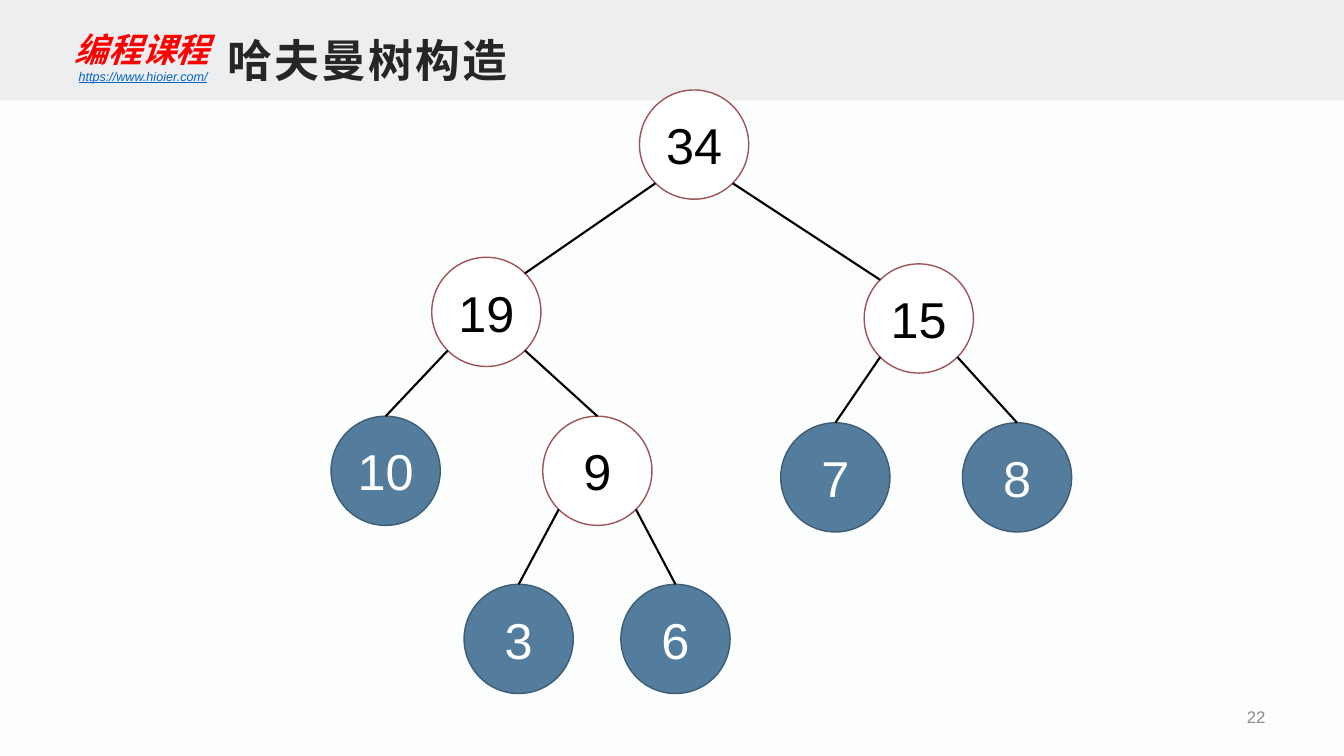
import math
import pptx
import pptx.dml.color
import pptx.enum.shapes
import pptx.enum.text
import pptx.oxml.ns
import pptx.util
from lxml import etree

Pt = pptx.util.Pt
ANCHOR = pptx.enum.text.MSO_ANCHOR
ALIGN = pptx.enum.text.PP_ALIGN
SHAPE = pptx.enum.shapes.MSO_SHAPE

COLORS = {
    "page": "FCFDFD", "band": "ECEEEF", "brand": "FF0000", "url": "0563C1",
    "title": "262626", "number": "8C8C8C", "edge": "000000",
    "leaf": "547D9D", "leaf_line": "3E5C74", "leaf_text": "FFFFFF",
    "inner": "FFFFFF", "inner_line": "9D5458", "inner_text": "000000",
}

# Header and footer: text, box, insets (x, y), anchor, alignment, font
LABELS = [
    ("编程课程", (49, 16.5, 133, 37.5), (4.5, 4.5), ANCHOR.MIDDLE, ALIGN.LEFT,
     dict(size=24, name="Calibri", color="brand", bold=True, italic=True)),
    ("https://www.hioier.com/", (49, 45.5, 480, 18), (7.2, 3.6), ANCHOR.TOP, ALIGN.LEFT,
     dict(size=9, name="Arial", color="url", italic=True, underline=True)),
    ("22", (698.5, 499.7, 212.5, 25.2), (7.2, 3.6), ANCHOR.MIDDLE, ALIGN.RIGHT,
     dict(size=12, name="Arial", color="number")),
    ("哈夫曼树构造", (157, 16.5, 227.5, 48), (5.75, 2.9), ANCHOR.BOTTOM, ALIGN.LEFT,
     dict(size=32, name="Arial", color="title", bold=True, spacing=1.5)),
]

# Huffman tree: weight -> centre of its circle
NODES = {
    34: (495.8, 103.3), 19: (347.4, 222.8), 15: (656.3, 227.5),
    10: (275.5, 336.3), 9: (426.7, 336.3), 7: (596.7, 341),
    8: (726.5, 341), 3: (370.5, 456.4), 6: (482.5, 456.4),
}
CHILDREN = {34: (19, 15), 19: (10, 9), 15: (7, 8), 9: (3, 6)}
DIAMETER = 78
RADIUS = DIAMETER / 2
DIAGONAL = RADIUS / math.sqrt(2)


def rgb(name):
    return pptx.dml.color.RGBColor.from_string(COLORS[name])


def write(frame, text, align, size, name, color, bold=False, italic=False,
          underline=False, spacing=0):
    paragraph = frame.paragraphs[0]
    paragraph.alignment = align
    run = paragraph.add_run()
    run.text = text
    font = run.font
    font.size, font.name = Pt(size), name
    font.bold, font.italic, font.underline = bold, italic, underline
    font.color.rgb = rgb(color)
    if spacing:
        run._r.get_or_add_rPr().set("spc", str(int(spacing * 100)))


def add_label(slide, text, box, insets, anchor, align, font):
    frame = slide.shapes.add_textbox(*map(Pt, box)).text_frame
    frame.word_wrap = True
    frame.vertical_anchor = anchor
    frame.margin_left = frame.margin_right = Pt(insets[0])
    frame.margin_top = frame.margin_bottom = Pt(insets[1])
    write(frame, text, align, **font)


def add_node(slide, weight):
    kind = "inner" if weight in CHILDREN else "leaf"
    x, y = NODES[weight]
    node = slide.shapes.add_shape(SHAPE.OVAL, Pt(x - RADIUS), Pt(y - RADIUS),
                                  Pt(DIAMETER), Pt(DIAMETER))
    node.shadow.inherit = False
    node.fill.solid()
    node.fill.fore_color.rgb = rgb(kind)
    node.line.color.rgb = rgb(kind + "_line")
    node.line.width = Pt(1)
    node.text_frame.vertical_anchor = ANCHOR.MIDDLE
    write(node.text_frame, str(weight), ALIGN.CENTER, 36, "Arial", kind + "_text")


def add_edge(slide, parent, child, side):
    """Join a parent's lower diagonal to its child; side is -1 left, 1 right."""
    (px, py), (cx, cy) = NODES[parent], NODES[child]
    if parent == 34:  # the root's long edges meet the facing diagonal
        end = (cx - side * DIAGONAL, cy - DIAGONAL)
    else:
        end = (cx, cy - RADIUS)
    edge = slide.shapes.add_connector(
        pptx.enum.shapes.MSO_CONNECTOR.STRAIGHT,
        Pt(px + side * DIAGONAL), Pt(py + DIAGONAL), Pt(end[0]), Pt(end[1]))
    edge.line.color.rgb = rgb("edge")
    edge.line.width = Pt(1.5)
    etree.SubElement(edge._element.spPr, pptx.oxml.ns.qn("a:effectLst"))


def main():
    deck = pptx.Presentation()
    deck.slide_width, deck.slide_height = Pt(960), Pt(540)
    slide = deck.slides.add_slide(deck.slide_layouts[6])
    slide.background.fill.solid()
    slide.background.fill.fore_color.rgb = rgb("page")

    # Header band and labels
    band = slide.shapes.add_shape(SHAPE.RECTANGLE, 0, 0, Pt(960), Pt(71.7))
    band.shadow.inherit = False
    band.fill.solid()
    band.fill.fore_color.rgb = rgb("band")
    band.line.fill.background()
    for label in LABELS:
        add_label(slide, *label)

    # Tree
    for weight in NODES:
        add_node(slide, weight)
    for parent, pair in CHILDREN.items():
        for child, side in zip(pair, (-1, 1)):
            add_edge(slide, parent, child, side)

    deck.save("out.pptx")


if __name__ == "__main__":
    main()
